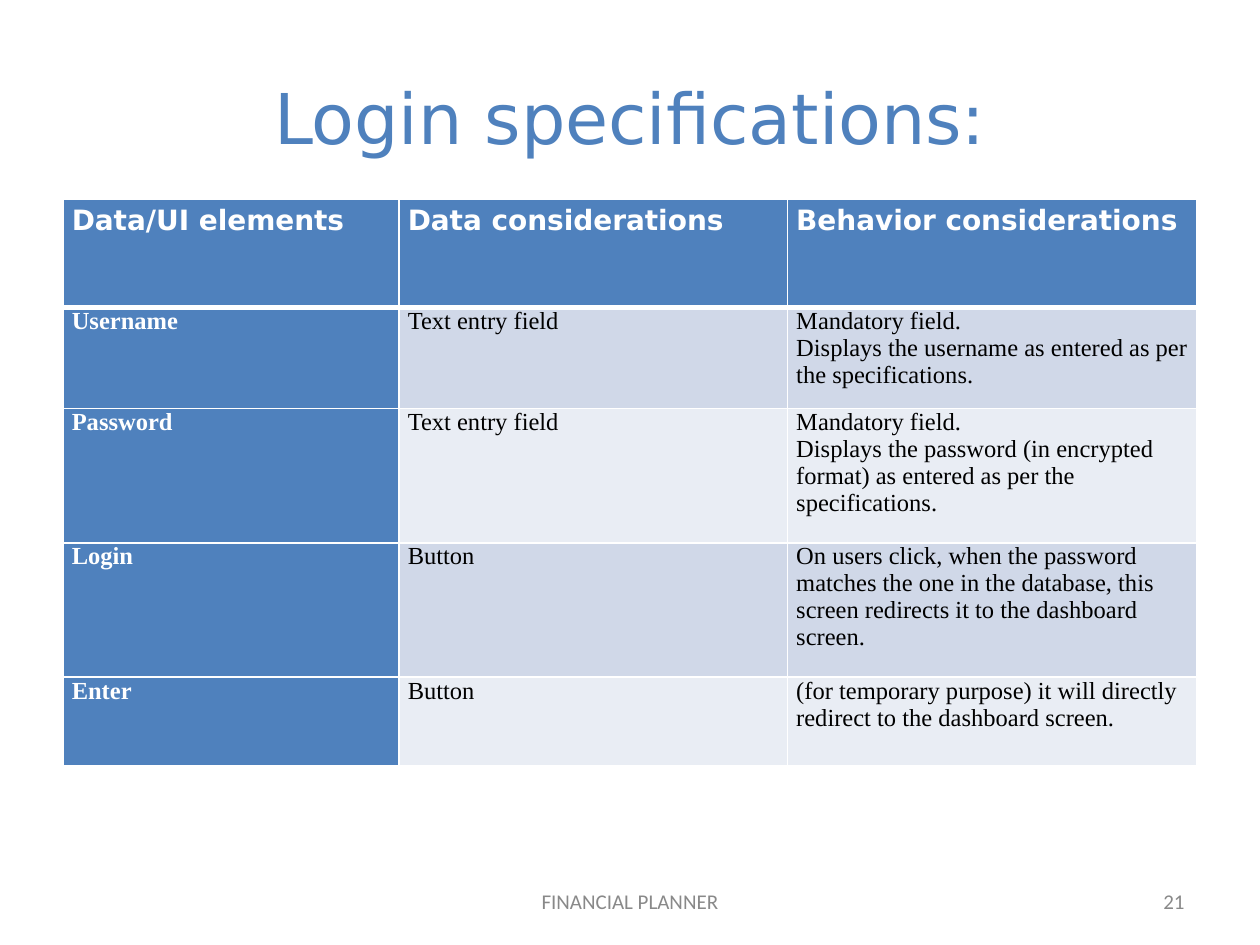
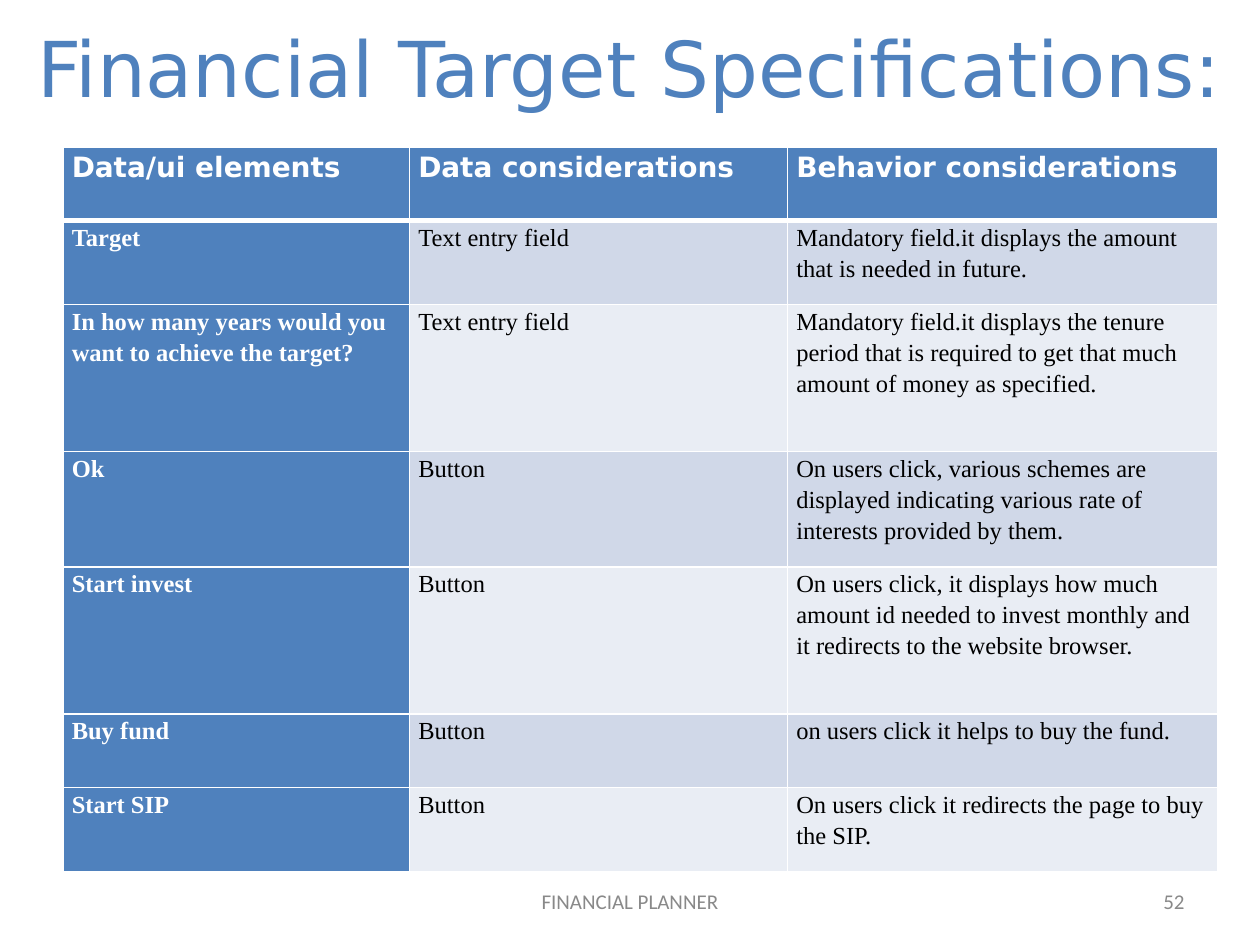
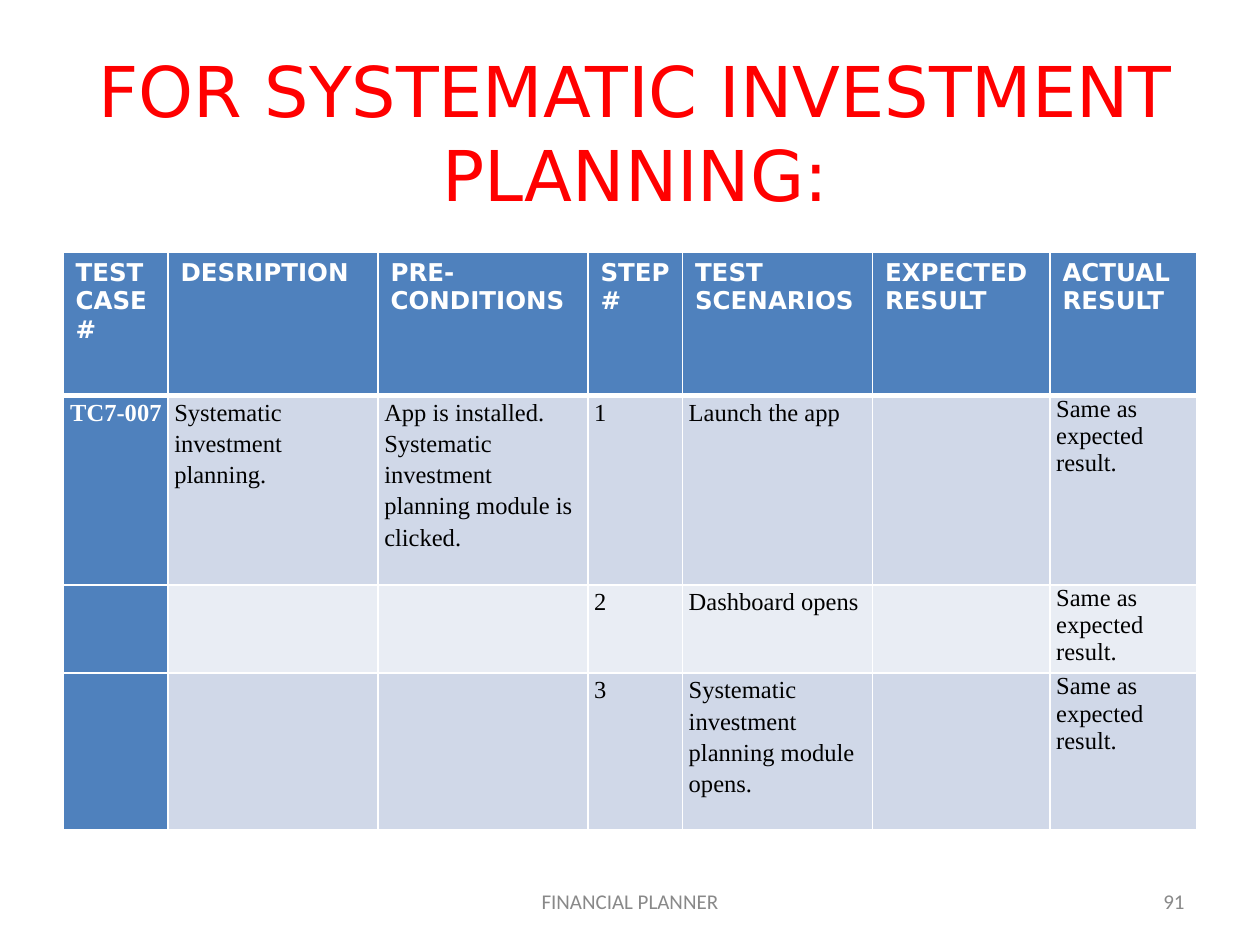
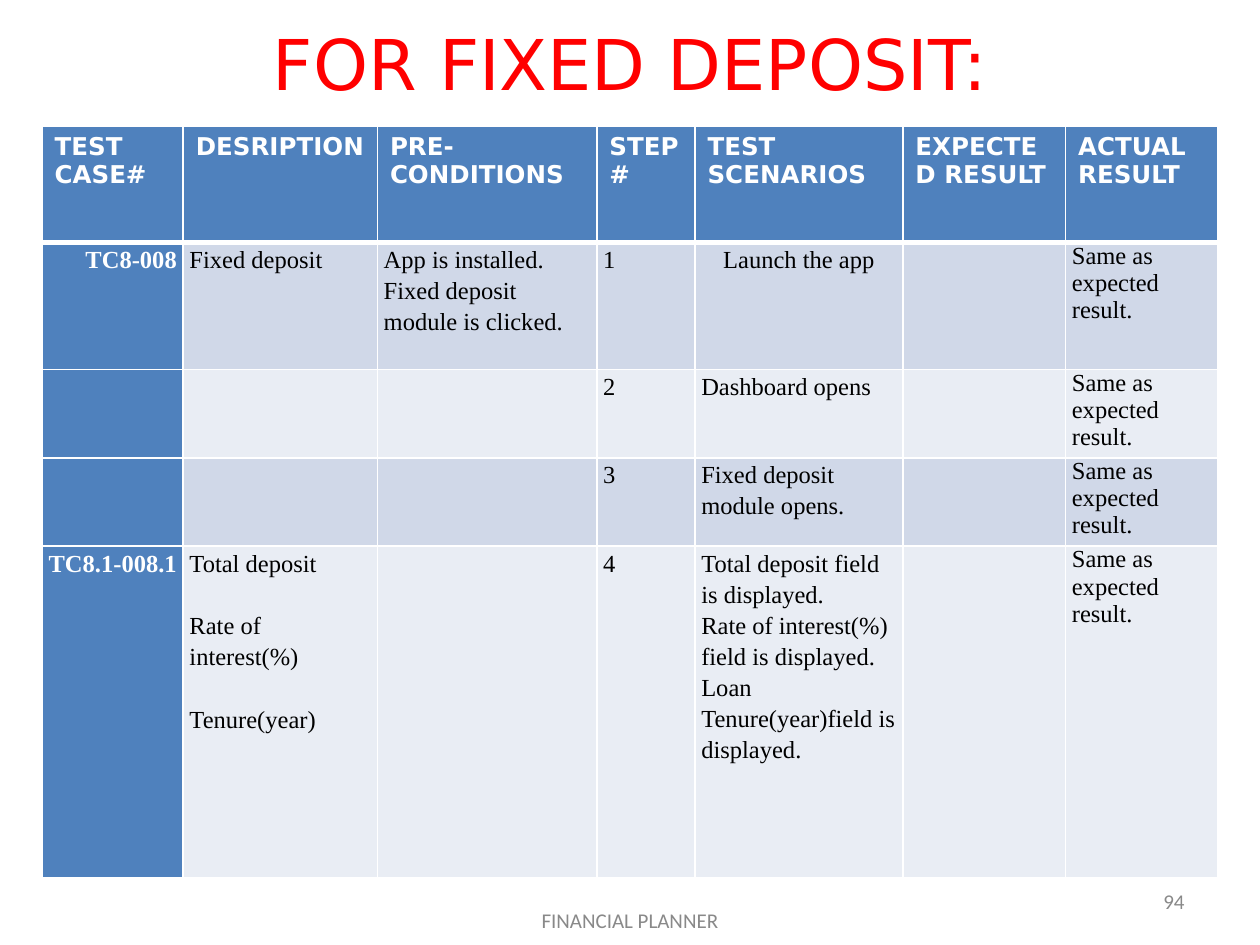
from lxml import etree
from pptx import Presentation
from pptx.dml.color import RGBColor
from pptx.enum import text
from pptx.oxml import ns
from pptx.util import Inches, Pt

# Shared look
BLUE = RGBColor(0x4F, 0x81, 0xBD)
RED = RGBColor(0xFF, 0x00, 0x00)
WHITE = RGBColor(0xFF, 0xFF, 0xFF)
BLACK = RGBColor(0x00, 0x00, 0x00)
GREY = RGBColor(0x89, 0x89, 0x89)
BANDS = [RGBColor(0xD0, 0xD8, 0xE8), RGBColor(0xE9, 0xED, 0xF4)]
HEAD_FONT, BODY_FONT, FOOT_FONT = "DejaVu Sans", "Times New Roman", "Calibri"
LEFT, CENTER, RIGHT = text.PP_ALIGN.LEFT, text.PP_ALIGN.CENTER, text.PP_ALIGN.RIGHT
MIDDLE, TOP = text.MSO_ANCHOR.MIDDLE, text.MSO_ANCHOR.TOP

deck = Presentation()
deck.slide_width, deck.slide_height = Inches(10), Inches(7.5)
UNIT = deck.slide_width / 120  # square grid: 120 columns by 90 rows


def write(frame, words, font, size, color, bold=False, align=LEFT, spacing=1.0, spaced=()):
    """Fill a text frame, one paragraph a line; lines in spaced get a gap above."""
    frame.word_wrap = True
    for i, line in enumerate(words.split("\n")):
        paragraph = frame.add_paragraph() if i else frame.paragraphs[0]
        paragraph.alignment = align
        paragraph.line_spacing = spacing
        if line in spaced:
            paragraph.space_before = Pt(18)
        run = paragraph.add_run()
        run.text = line
        run.font.name, run.font.size = font, Pt(size)
        run.font.bold, run.font.color.rgb = bold, color


def border(cell, widths):
    """Draw white cell borders; widths are points for each side."""
    properties = cell._tc.get_or_add_tcPr()
    for side, width in widths.items():
        line = etree.SubElement(properties, ns.qn(f"a:ln{side}"), w=str(Pt(width)))
        fill = etree.SubElement(line, ns.qn("a:solidFill"))
        etree.SubElement(fill, ns.qn("a:srgbClr"), val=str(WHITE))


# Content of the tables
SAME = "Same as expected result."
TEST_HEADS = ["DESRIPTION", "PRE-\nCONDITIONS", "STEP#", "TEST SCENARIOS",
              "EXPECTED RESULT", "ACTUAL RESULT"]

login = [
    ["Data/UI elements", "Data considerations", "Behavior considerations"],
    ["Username", "Text entry field",
     "Mandatory field.\nDisplays the username as entered as per the specifications."],
    ["Password", "Text entry field",
     "Mandatory field.\nDisplays the password (in encrypted format) as entered as per "
     "the specifications."],
    ["Login", "Button",
     "On users click, when the password matches the one in the database, this screen "
     "redirects it to the dashboard screen."],
    ["Enter", "Button",
     "(for temporary purpose) it will directly redirect to the dashboard screen."],
]
target = [
    ["Data/ui elements", "Data considerations", "Behavior considerations"],
    ["Target", "Text entry field",
     "Mandatory field.it displays the amount that is needed in future."],
    ["In how many years would you want to achieve the target?", "Text entry field",
     "Mandatory field.it displays the tenure period that is required to get that much "
     "amount of money as specified."],
    ["Ok", "Button",
     "On users click, various schemes are displayed indicating various rate of "
     "interests provided by them."],
    ["Start invest", "Button",
     "On users click, it displays how much amount id needed to invest monthly and it "
     "redirects to the website browser."],
    ["Buy fund", "Button", "on users click it helps to buy the fund."],
    ["Start SIP", "Button", "On users click it redirects the page to buy the SIP."],
]
systematic = [
    ["TEST CASE#", *TEST_HEADS],
    ["TC7-007", "Systematic\ninvestment\nplanning.",
     "App is installed.\nSystematic\ninvestment\nplanning module is clicked.",
     "1", "Launch the app", "", SAME],
    ["", "", "", "2", "Dashboard opens", "", SAME],
    ["", "", "", "3", "Systematic\ninvestment\nplanning module opens.", "", SAME],
]
deposit = [
    ["TEST CASE#", *TEST_HEADS],
    ["TC8-008", "Fixed deposit", "App is installed.\nFixed deposit\nmodule is clicked.",
     "1", "Launch the app", "", SAME],
    ["", "", "", "2", "Dashboard opens", "", SAME],
    ["", "", "", "3", "Fixed deposit\nmodule opens.", "", SAME],
    ["TC8.1-008.1", "Total deposit\nRate of\ninterest(%)\nTenure(year)", "", "4",
     "Total deposit field\nis displayed.\nRate of interest(%) field is displayed.\n"
     "Loan Tenure(year)field is displayed.", "", SAME],
]

# Slides, measured in grid units; title_box is left, top, width, height
slides = [
    dict(title="Login specifications:", title_box=(6, 3.6, 108, 15), color=BLUE, size=40,
         anchor=MIDDLE, rows=login, corner=(6, 19), widths=[32, 37, 39],
         heights=[10.3, 9.6, 12.8, 12.8, 8.4], body_spacing=1.0, number="21"),
    dict(title="Financial Target Specifications:", title_box=(0, 2, 120, 15), color=BLUE,
         size=44, anchor=TOP, rows=target, corner=(6, 14), widths=[33, 36, 41],
         heights=[7, 8, 14, 11, 14, 7, 8], body_spacing=1.15, number="52"),
    dict(title="FOR SYSTEMATIC INVESTMENT PLANNING:", title_box=(4, 5, 113, 15), color=RED,
         size=40, anchor=MIDDLE, rows=systematic, corner=(6, 24),
         widths=[10, 20, 20, 9, 18.1, 16.9, 14], heights=[13.7, 18, 7.8, 14.9],
         body_spacing=1.15, number="91"),
    dict(title="FOR FIXED DEPOSIT:", title_box=(6, 0, 108, 12), color=RED, size=40,
         anchor=MIDDLE, rows=deposit, corner=(4, 12),
         widths=[13.45, 18.5, 20.9, 9.35, 19.8, 15.5, 14.5],
         heights=[11.1, 12.1, 8.4, 8.4, 31.6], body_spacing=1.15, number="94",
         footer_top=85.2, centered="Launch the app"),
]

for page in slides:
    slide = deck.slides.add_slide(deck.slide_layouts[6])
    is_test = len(page["widths"]) == 7

    # Title, footer and page number
    labels = [
        (page["title_box"], page["title"], HEAD_FONT, page["size"], page["color"], CENTER,
         page["anchor"]),
        ((41, page.get("footer_top", 83.4), 38, 4.8), "FINANCIAL PLANNER", FOOT_FONT, 12,
         GREY, CENTER, MIDDLE),
        ((86, 83.4, 28, 4.8), page["number"], FOOT_FONT, 12, GREY, RIGHT, MIDDLE),
    ]
    for box, words, font, size, color, align, anchor in labels:
        frame = slide.shapes.add_textbox(*(round(n * UNIT) for n in box)).text_frame
        frame.vertical_anchor = anchor
        if anchor == TOP:
            frame.margin_top = 0
        write(frame, words, font, size, color, align=align)

    # Table grid
    rows, widths, heights = page["rows"], page["widths"], page["heights"]
    extent = (*page["corner"], sum(widths), sum(heights))
    table = slide.shapes.add_table(len(rows), len(widths),
                                   *(round(n * UNIT) for n in extent)).table
    for column, width in zip(table.columns, widths):
        column.width = round(width * UNIT)
    for row, height in zip(table.rows, heights):
        row.height = round(height * UNIT)

    # Table cells
    for r, row in enumerate(rows):
        for c, words in enumerate(row):
            cell = table.cell(r, c)
            is_head, is_key = r == 0, c == 0
            border(cell, {"L": 1, "R": 1, "T": 3 if r == 1 else 1, "B": 3 if is_head else 1})
            cell.fill.solid()
            cell.fill.fore_color.rgb = BLUE if is_head or is_key else BANDS[(r - 1) % 2]
            if not words:
                continue
            if not (is_head and is_test):
                cell.margin_left = cell.margin_right = Inches(0.05 if is_test else 0.07)
                cell.margin_top = cell.margin_bottom = 0
            if is_head:
                spacing = 1.0 if is_test else 1.15
                write(cell.text_frame, words, HEAD_FONT, 14 if is_test else 16, WHITE,
                      bold=True, spacing=spacing)
                continue
            align = RIGHT if is_test and is_key else LEFT
            if words == page.get("centered"):
                align = CENTER
            write(cell.text_frame, words, BODY_FONT, 14, WHITE if is_key else BLACK,
                  bold=is_key, align=align,
                  spacing=1.0 if words == SAME else page["body_spacing"],
                  spaced=("Rate of", "Tenure(year)"))

deck.save("out.pptx")
